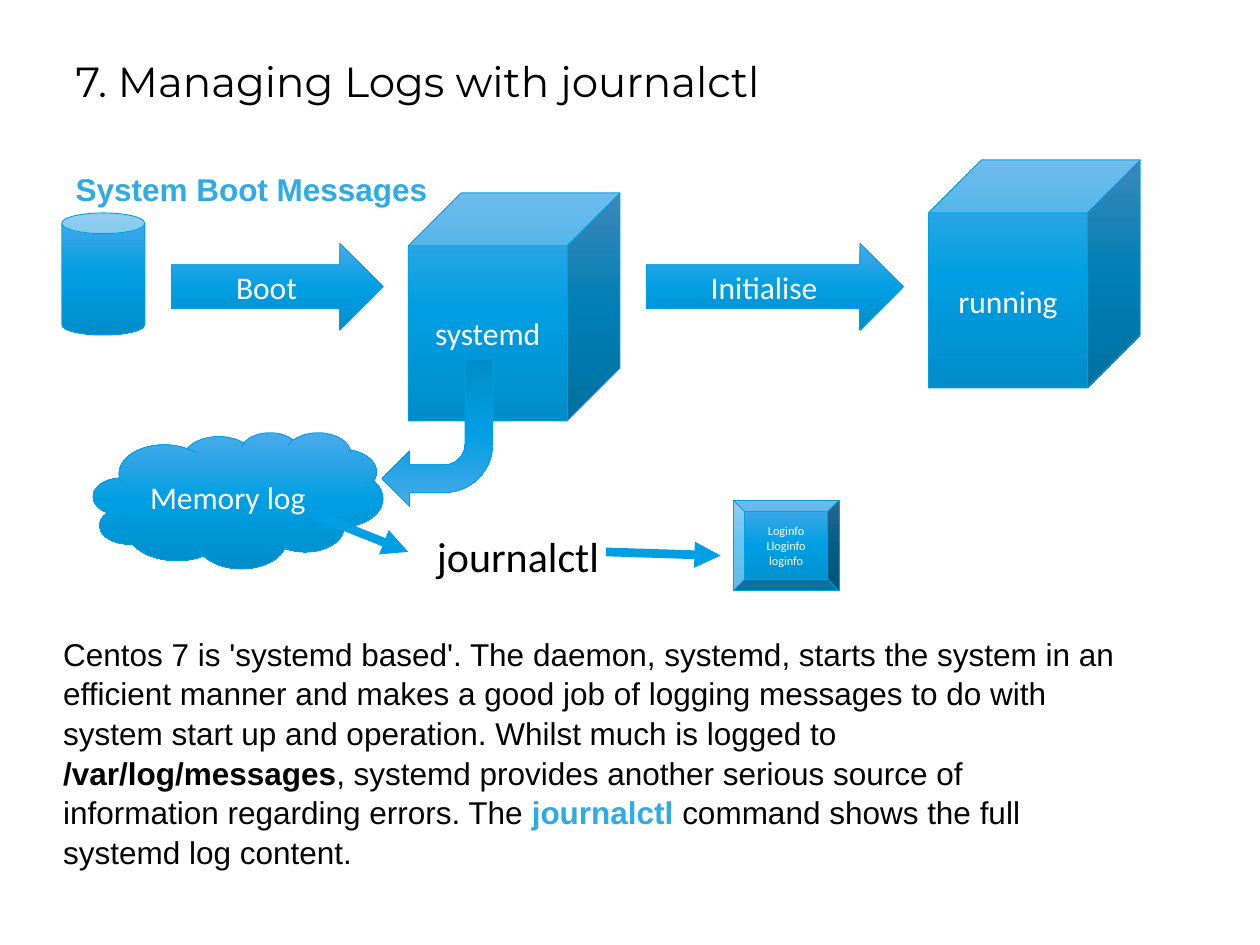
from copy import deepcopy

from pptx import Presentation
from pptx.dml.color import RGBColor
from pptx.enum.shapes import MSO_CONNECTOR, MSO_SHAPE
from pptx.enum.text import MSO_ANCHOR, MSO_AUTO_SIZE, PP_ALIGN
from pptx.oxml.ns import qn
from pptx.util import Pt

BLACK = RGBColor(0x00, 0x00, 0x00)
WHITE = RGBColor(0xFF, 0xFF, 0xFF)
SKY = RGBColor(0x2E, 0xAB, 0xE2)
BLUE = RGBColor(0x00, 0x9F, 0xE3)
LIGHT_BLUE = RGBColor(0x4B, 0xAA, 0xE9)
DARK_BLUE = RGBColor(0x00, 0x8D, 0xCA)
GRADIENT = ((0, LIGHT_BLUE), (0.5, BLUE), (1, DARK_BLUE))

LEFT = PP_ALIGN.LEFT
CENTER = PP_ALIGN.CENTER
TOP = MSO_ANCHOR.TOP
MIDDLE = MSO_ANCHOR.MIDDLE
NO_AUTOFIT = MSO_AUTO_SIZE.NONE
STRAIGHT = MSO_CONNECTOR.STRAIGHT
CAN = MSO_SHAPE.CAN
RIGHT_ARROW = MSO_SHAPE.RIGHT_ARROW
CUBE = MSO_SHAPE.CUBE
CLOUD = MSO_SHAPE.CLOUD
BENT_ARROW = MSO_SHAPE.BENT_ARROW
BEVEL = MSO_SHAPE.BEVEL

EXPLANATION = (
    ("Centos 7 is 'systemd based'. The daemon, systemd, starts the system in an "
     "efficient manner and makes a good job of logging messages to do with system "
     "start up and operation. Whilst much is logged to ", BLACK, False),
    ("/var/log/messages", BLACK, True),
    (", systemd provides another serious source of information regarding errors. The ",
     BLACK, False),
    ("journalctl", SKY, True),
    (" command shows the full systemd log content.", BLACK, False),
)


def add_run(paragraph, text, font_name, size, color, bold=False):
    run = paragraph.add_run()
    run.text = text
    run.font.name = font_name
    run.font.size = Pt(size)
    run.font.color.rgb = color
    run.font.bold = bold


def fill_placeholder(placeholder, box, text, font_name, size, color, bold=False):
    placeholder.left, placeholder.top, placeholder.width, placeholder.height = map(Pt, box)
    frame = placeholder.text_frame
    frame.auto_size = NO_AUTOFIT
    frame.vertical_anchor = TOP
    paragraph = frame.paragraphs[0]
    properties = paragraph._p.get_or_add_pPr()
    properties.set("marL", "0")
    properties.set("indent", "0")
    properties.append(properties.makeelement(qn("a:buNone"), {}))
    paragraph.alignment = LEFT
    paragraph.space_before = Pt(0)
    add_run(paragraph, text, font_name, size, color, bold)


def add_text(slide, box, runs, font_name, size, wrap, line_spacing):
    frame = slide.shapes.add_textbox(*map(Pt, box)).text_frame
    frame.word_wrap = wrap
    paragraph = frame.paragraphs[0]
    paragraph.line_spacing = line_spacing
    for text, color, bold in runs:
        add_run(paragraph, text, font_name, size, color, bold)


def apply_gradient(shape):
    shape.fill.gradient()
    shape.fill.gradient_angle = 270
    stops = shape.element.spPr.find(".//" + qn("a:gsLst"))
    stops.insert(1, deepcopy(stops[0]))
    for stop, (position, color) in zip(shape.fill.gradient_stops, GRADIENT):
        stop.position = position
        stop.color.rgb = color


def add_stage(slide, kind, box, lines=(), size=18, rotation=0):
    stage = slide.shapes.add_shape(kind, *map(Pt, box))
    stage.rotation = rotation
    stage.shadow.inherit = False
    apply_gradient(stage)
    stage.line.color.rgb = BLUE
    stage.line.width = Pt(0.5)
    frame = stage.text_frame
    frame.vertical_anchor = MIDDLE
    for index, line in enumerate(lines):
        paragraph = frame.add_paragraph() if index else frame.paragraphs[0]
        paragraph.alignment = CENTER
        add_run(paragraph, line, "Calibri", size, WHITE)


def add_flow(slide, start, end):
    flow = slide.shapes.add_connector(STRAIGHT, *map(Pt, start + end))
    flow.line.color.rgb = BLUE
    flow.line.width = Pt(5)
    outline = flow.line._get_or_add_ln()
    outline.append(outline.makeelement(qn("a:tailEnd"), {"type": "triangle"}))
    properties = flow._element.spPr
    properties.append(properties.makeelement(qn("a:effectLst"), {}))


def main():
    presentation = Presentation()
    presentation.slide_width = Pt(720)
    presentation.slide_height = Pt(540)
    slide = presentation.slides.add_slide(presentation.slide_layouts[1])
    title, subtitle = slide.placeholders

    fill_placeholder(title, (36, 28, 649.5, 36), "7. Managing Logs with journalctl",
                     "Montserrat", 24, BLACK)
    fill_placeholder(subtitle, (36, 93.5, 649.5, 29), "System Boot Messages",
                     "Arial", 18, SKY, True)
    add_text(slide, (29, 358, 622, 116), EXPLANATION, "Arial", 18, True, 1.05)

    add_stage(slide, CAN, (35.3, 121.7, 47.5, 69.8))
    add_stage(slide, RIGHT_ARROW, (98, 139, 121, 49.7), ["Boot"])
    add_stage(slide, CUBE, (530.6, 91.4, 121, 130.3), ["running"])
    add_stage(slide, RIGHT_ARROW, (369.4, 139, 146.9, 49.7), ["Initialise"])
    add_stage(slide, CUBE, (233.3, 110.2, 121, 130.3), ["systemd"])
    add_stage(slide, CLOUD, (53.3, 247, 165.6, 77.8), ["Memory log"])
    add_stage(slide, BENT_ARROW, (218.2, 205.2, 63.4, 84.2), rotation=180)

    add_text(slide, (242.6, 299.5, 108, 36), [("journalctl", BLACK, False)],
             "Calibri", 24, False, 1)
    add_flow(slide, (177.1, 293), (233.3, 315.4))
    add_flow(slide, (346.3, 315.4), (411.8, 317.5))
    add_stage(slide, BEVEL, (419, 285.8, 60.5, 51.8),
              ["Loginfo", "Lloginfo", "loginfo"], size=7)

    presentation.save("out.pptx")


if __name__ == "__main__":
    main()
